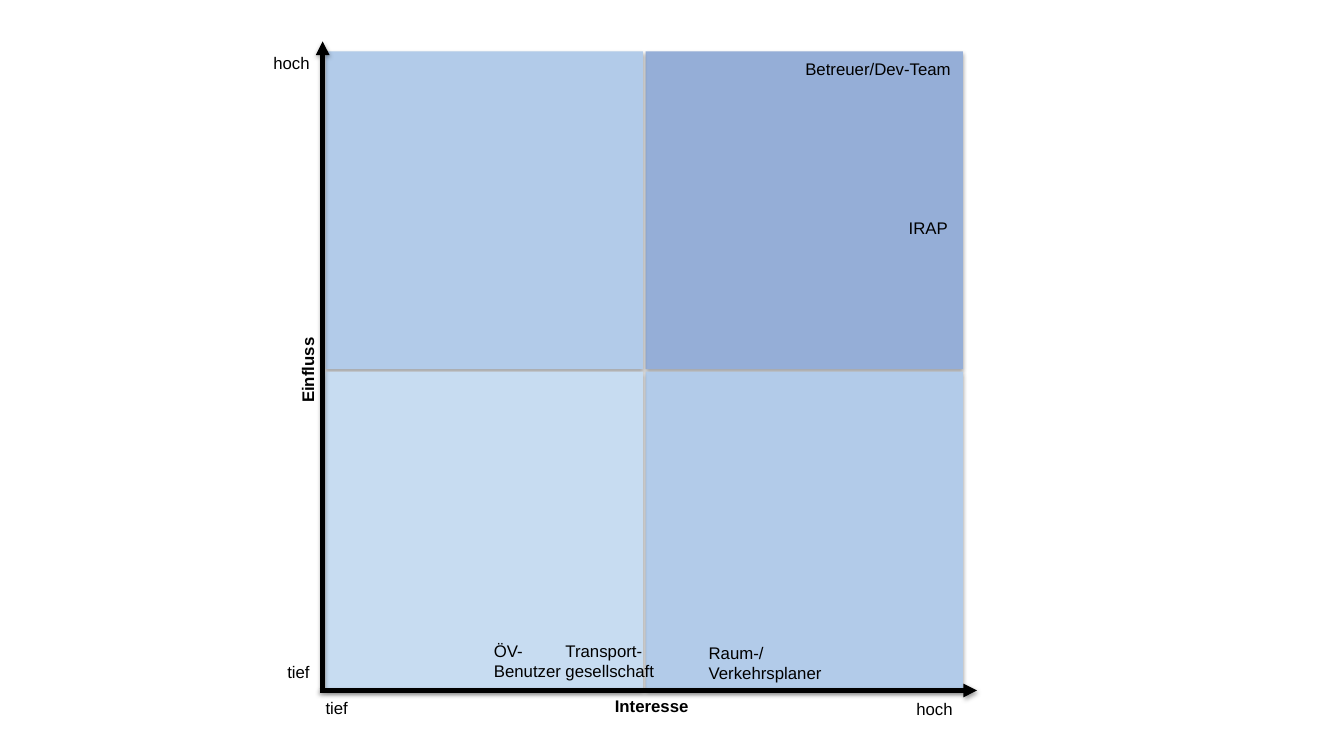
from dataclasses import dataclass
from lxml.etree import SubElement
from pptx import Presentation
from pptx.dml.color import RGBColor
from pptx.enum.shapes import MSO_CONNECTOR, MSO_SHAPE
from pptx.enum.text import PP_ALIGN
from pptx.oxml.ns import qn
from pptx.util import Inches, Pt


@dataclass(frozen=True)
class Box:
    left: float
    top: float
    width: float
    height: float

    def point(self, across, down):
        return (Inches(self.left + self.width * across / 100),
                Inches(self.top + self.height * down / 100))

    def inner(self, across, down, wide, high):
        return Box(self.left + self.width * across / 100,
                   self.top + self.height * down / 100,
                   self.width * wide / 100, self.height * high / 100)

    def lengths(self):
        return [Inches(n) for n in (self.left, self.top, self.width, self.height)]


MATRIX = Box(3.23, 0.51, 6.32, 6.33)
TILE = 49.8
LINE_HEIGHT = 4.74
TWO_LINES = 7.9
LEFT, RIGHT = PP_ALIGN.LEFT, PP_ALIGN.RIGHT

QUADRANTS = [
    (1, 0, "95AED7"),
    (0, 0, "B2CBE9"),
    (1, 1, "B2CBE9"),
    (0, 1, "C7DCF1"),
]
SCALE_LABELS = [
    ("hoch", -11.39, -0.63, 10.44, RIGHT),
    ("tief", -11.39, 94.94, 10.44, RIGHT),
    ("tief", -1.58, 100.47, 10.44, LEFT),
    ("hoch", 91.14, 100.63, 10.44, LEFT),
]
STAKEHOLDERS = [
    ("Betreuer/Dev-Team", 72.63, 0.32, 27.06, LINE_HEIGHT, RIGHT),
    ("IRAP", 74.37, 25.28, 24.84, LINE_HEIGHT, RIGHT),
    ("Raum-/\nVerkehrsplaner", 58.54, 91.94, 21.2, TWO_LINES, LEFT),
    ("ÖV-\nBenutzer", 24.84, 91.63, 14.87, TWO_LINES, LEFT),
    ("Transport-gesellschaft", 36.08, 91.63, 18.2, TWO_LINES, LEFT),
]
AXES = [
    ((-0.95, 100.16), (102.22, 100.16)),
    ((-0.47, 99.84), (-0.47, -1.58)),
]


def color(value):
    return RGBColor.from_string(value)


def add_shadow(shape, distance, opacity):
    effects = SubElement(shape._element.spPr, qn("a:effectLst"))
    shadow = SubElement(effects, qn("a:outerShdw"), blurRad=str(Pt(3.1)),
                        dist=str(Pt(distance)), dir="5400000", rotWithShape="0")
    tint = SubElement(shadow, qn("a:srgbClr"), val="000000")
    SubElement(tint, qn("a:alpha"), val=str(opacity * 1000))


def add_label(page, box, text, align=LEFT, bold=False, rotation=0):
    label = page.shapes.add_textbox(*box.lengths())
    label.rotation = rotation
    label.text_frame.word_wrap = True
    label.text_frame.text = text
    for para in label.text_frame.paragraphs:
        para.alignment = align
        for span in para.runs:
            span.font.name = "Arial"
            span.font.size = Pt(12)
            span.font.bold = bold
            span.font.color.rgb = color("000000")


def add_quadrants(page, box):
    step = 100 - TILE
    for column, row, fill in QUADRANTS:
        tile = box.inner(column * step, row * step, TILE, TILE)
        quadrant = page.shapes.add_shape(MSO_SHAPE.RECTANGLE, *tile.lengths())
        quadrant.fill.solid()
        quadrant.fill.fore_color.rgb = color(fill)
        quadrant.line.fill.background()
        add_shadow(quadrant, 1.8, 35)


def add_axes(page, box):
    for start, end in AXES:
        axis = page.shapes.add_connector(
            MSO_CONNECTOR.STRAIGHT, *box.point(*start), *box.point(*end))
        axis.line.width = Pt(3.26)
        axis.line.color.rgb = color("000000")
        SubElement(axis.line._get_or_add_ln(), qn("a:tailEnd"), type="triangle")
        add_shadow(axis, 1.6, 38)


def add_axis_labels(page, box):
    for text, across, down, wide, align in SCALE_LABELS:
        add_label(page, box.inner(across, down, wide, LINE_HEIGHT), text, align)
    add_label(page, box.inner(43.83, 100.16, 16.77, LINE_HEIGHT), "Interesse", bold=True)
    add_label(page, box.inner(-11.55, 49.61, 17.41, LINE_HEIGHT), "Einfluss",
              RIGHT, bold=True, rotation=270)


def add_stakeholders(page, box):
    for text, across, down, wide, high, align in STAKEHOLDERS:
        add_label(page, box.inner(across, down, wide, high), text, align)


def build_stakeholder_matrix(page, box):
    add_quadrants(page, box)
    add_axis_labels(page, box)
    add_stakeholders(page, box)
    add_axes(page, box)


deck = Presentation()
deck.slide_width = Inches(13.33)
deck.slide_height = Inches(7.5)
build_stakeholder_matrix(deck.slides.add_slide(deck.slide_layouts[6]), MATRIX)
deck.save("out.pptx")
